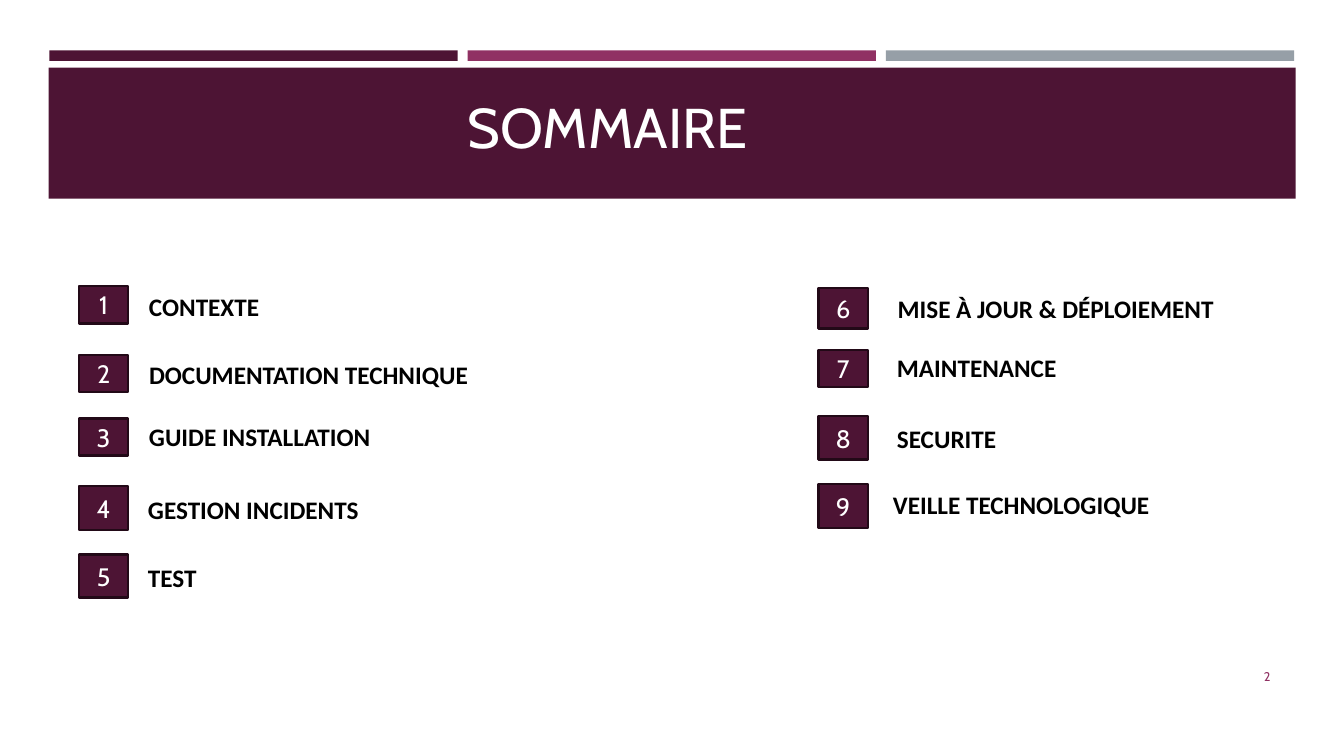
from dataclasses import dataclass

from pptx import Presentation
from pptx.dml.color import RGBColor
from pptx.enum.shapes import MSO_SHAPE
from pptx.enum.text import MSO_ANCHOR, PP_ALIGN
from pptx.util import Inches, Pt

RECT = MSO_SHAPE.RECTANGLE
TOP, MIDDLE = MSO_ANCHOR.TOP, MSO_ANCHOR.MIDDLE
LEFT, CENTER, RIGHT = PP_ALIGN.LEFT, PP_ALIGN.CENTER, PP_ALIGN.RIGHT
COLS, ROWS = 40, 30


@dataclass(frozen=True)
class Theme:
    plum: str = "4D1434"
    rose: str = "903163"
    grey: str = "969FA7"
    edge: str = "220917"
    white: str = "FFFFFF"
    black: str = "000000"
    heading: str = "Cabin"
    body: str = "Calibri"
    title_size: int = 40
    item_size: int = 18
    page_size: int = 9
    edge_width: float = 1.75


class Deck:
    def __init__(self, theme):
        self.theme = theme
        self.prs = Presentation()
        self.prs.slide_width = Inches(13.33)
        self.prs.slide_height = Inches(7.5)
        self.slide = self.prs.slides.add_slide(self.prs.slide_layouts[6])

    def box(self, col, row, cols, rows):
        dx, dy = self.prs.slide_width / COLS, self.prs.slide_height / ROWS
        return [round(v) for v in (col * dx, row * dy, cols * dx, rows * dy)]

    def fill_text(self, sp, text, font, size, color, bold=False, align=LEFT, anchor=TOP):
        tf = sp.text_frame
        tf.word_wrap = True
        tf.vertical_anchor = anchor
        p = tf.paragraphs[0]
        p.alignment = align
        r = p.add_run()
        r.text = text
        r.font.color.rgb = RGBColor.from_string(color)
        for name, value in {"name": font, "size": Pt(size), "bold": bold}.items():
            setattr(r.font, name, value)

    def block(self, place, fill):
        sp = self.slide.shapes.add_shape(RECT, *self.box(*place))
        sp.shadow.inherit = False
        sp.fill.solid()
        sp.fill.fore_color.rgb = RGBColor.from_string(fill)
        sp.line.fill.background()
        return sp

    def text(self, place, text, font, size, color, **fmt):
        sp = self.slide.shapes.add_textbox(*self.box(*place))
        self.fill_text(sp, text, font, size, color, **fmt)

    def number(self, place, text):
        t = self.theme
        sp = self.block(place, t.plum)
        sp.line.color.rgb = RGBColor.from_string(t.edge)
        sp.line.width = Pt(t.edge_width)
        self.fill_text(sp, text, t.heading, t.item_size, t.white,
                       align=CENTER, anchor=MIDDLE)

    def label(self, place, text):
        t = self.theme
        self.text(place, text, t.body, t.item_size, t.black, bold=True)


NUMBER_COLS, LABEL_ROWS = 1.47, 1.6
AGENDA = [
    (2.35, [
        ("CONTEXTE", 11.36, 1.48, 4.14, 11.36, 4.17),
        ("DOCUMENTATION TECHNIQUE", 14.08, 1.48, 4.14, 14.08, 10.14),
        ("GUIDE INSTALLATION", 16.6, 1.48, 4.14, 16.52, 7.23),
        ("GESTION INCIDENTS", 19.28, 1.76, 4.11, 19.4, 7.71),
        ("TEST", 22, 1.72, 4.11, 22.12, 2.19),
    ]),
    (24.36, [
        ("MISE À JOUR & DÉPLOIEMENT", 11.44, 1.6, 26.42, 11.44, 10.56),
        ("MAINTENANCE", 13.88, 1.48, 26.4, 13.8, 10.56),
        ("SECURITE", 16.52, 1.72, 26.4, 16.6, 5.19),
        ("VEILLE TECHNOLOGIQUE", 19.2, 1.76, 26.28, 19.24, 8.43),
    ]),
]


def main():
    t = Theme()
    deck = Deck(t)

    for i, color in enumerate((t.plum, t.rose, t.grey)):
        deck.block((1.47 + 12.45 * i, 2, 12.15, 0.42), color)
    deck.block((1.45, 2.68, 37.11, 5.2), t.plum)
    deck.text((13.62, 3.48, 9.66, 3.08), "SOMMAIRE", t.heading, t.title_size, t.white)

    n = 0
    for col, items in AGENDA:
        for text, row, rows, label_col, label_row, label_cols in items:
            n += 1
            deck.number((col, row, NUMBER_COLS, rows), str(n))
            deck.label((label_col, label_row, label_cols, LABEL_ROWS), text)

    deck.text((34.66, 26.04, 3.45, 1.6), "2", t.heading, t.page_size, t.rose,
              align=RIGHT, anchor=MIDDLE)
    deck.prs.save("out.pptx")


if __name__ == "__main__":
    main()
